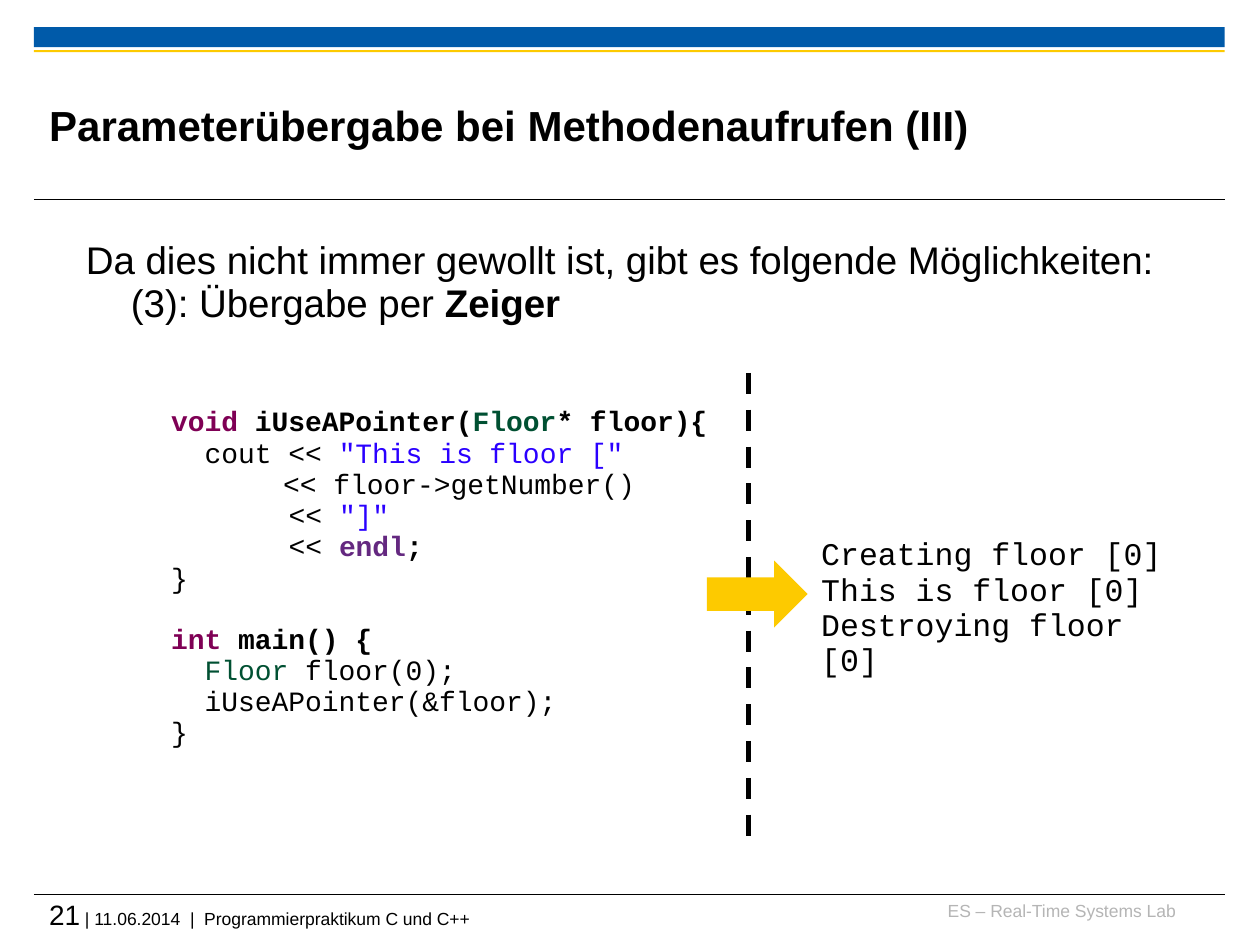
import pptx
import pptx.dml.color
import pptx.enum.dml
import pptx.enum.shapes
import pptx.enum.text
import pptx.oxml.ns
import pptx.util
from lxml import etree

Pt = pptx.util.Pt
RGB = pptx.dml.color.RGBColor
ALIGN = pptx.enum.text.PP_ALIGN
SHAPES = pptx.enum.shapes.MSO_SHAPE

BLACK = RGB(0x00, 0x00, 0x00)
BLUE = RGB(0x00, 0x5A, 0xA9)
YELLOW = RGB(0xFD, 0xCA, 0x00)
GREY = RGB(0xB5, 0xB5, 0xB5)
KEYWORD = RGB(0x7F, 0x00, 0x55)
TYPE = RGB(0x00, 0x50, 0x32)
STRING = RGB(0x2A, 0x00, 0xFF)
CONSTANT = RGB(0x64, 0x28, 0x80)

EDGE, RULE_WIDTH = 19.4, 680.4
CODE_SIZE = 16
CHAR = 0.6 * CODE_SIZE
BLANK_LINE = 16.9


def run(text, **style):
    return text, style


def line(*runs, **style):
    return runs, style


def write(frame, lines, font="Arial", size=18, color=BLACK, bold=False,
          spacing=None, inset=None):
    """Fill a text frame; runs and lines may override the common format."""
    frame.word_wrap = True
    if inset is not None:
        frame.margin_left = frame.margin_right = Pt(inset)
        frame.margin_top = frame.margin_bottom = Pt(inset)
    for number, (runs, layout) in enumerate(lines):
        paragraph = frame.paragraphs[0] if number == 0 else frame.add_paragraph()
        paragraph.alignment = layout.get("align", ALIGN.LEFT)
        paragraph.line_spacing = spacing
        if "before" in layout:
            paragraph.space_before = Pt(layout["before"])
        if "indent" in layout:
            properties = paragraph._p.get_or_add_pPr()
            properties.set("marL", str(Pt(layout["indent"])))
            properties.set("indent", "0")
        for text, style in runs:
            piece = paragraph.add_run()
            piece.text = text
            piece.font.name = font
            piece.font.size = Pt(style.get("size", size))
            piece.font.bold = style.get("bold", bold)
            piece.font.color.rgb = style.get("color", color)


class SlideBuilder:
    def __init__(self, slide):
        self.slide = slide
        self.shapes = slide.shapes

    def title(self, text, left, top, width, height):
        heading = self.shapes.title
        heading.left, heading.top = Pt(left), Pt(top)
        heading.width, heading.height = Pt(width), Pt(height)
        frame = heading.text_frame
        frame.vertical_anchor = pptx.enum.text.MSO_ANCHOR.MIDDLE
        frame.auto_size = pptx.enum.text.MSO_AUTO_SIZE.NONE
        write(frame, [line(run(text))], size=24, bold=True, inset=0)

    def text(self, lines, left, top, width, height, **style):
        box = self.shapes.add_textbox(Pt(left), Pt(top), Pt(width), Pt(height))
        write(box.text_frame, lines, **style)

    def block(self, kind, left, top, width, height, fill):
        block = self.shapes.add_shape(
            kind, Pt(left), Pt(top), Pt(width), Pt(height))
        block.shadow.inherit = False
        block.fill.solid()
        block.fill.fore_color.rgb = fill
        block.line.fill.background()

    def rule(self, x1, y1, x2, y2, width=0.6, dash=None):
        rule = self.shapes.add_connector(
            pptx.enum.shapes.MSO_CONNECTOR.STRAIGHT,
            Pt(x1), Pt(y1), Pt(x2), Pt(y2))
        rule.line.color.rgb = BLACK
        rule.line.width = Pt(width)
        if dash is not None:
            rule.line.dash_style = dash
        etree.SubElement(rule._element.spPr, pptx.oxml.ns.qn("a:effectLst"))


def main():
    deck = pptx.Presentation()
    deck.slide_width, deck.slide_height = Pt(720), Pt(540)
    builder = SlideBuilder(deck.slides.add_slide(deck.slide_layouts[5]))

    for top, height, fill in ((15.6, 11.4, BLUE), (28.7, 1.2, YELLOW)):
        builder.block(SHAPES.RECTANGLE, EDGE, top, RULE_WIDTH, height, fill)
    for y in (114.2, 511):
        builder.rule(EDGE, y, EDGE + RULE_WIDTH, y)

    builder.text([line(run("ES – Real-Time Systems Lab"), align=ALIGN.RIGHT)],
                 530, 514, 141.8, 18, size=10, color=GREY, inset=0)
    builder.text([line(run("21", size=16),
                       run(" | 11.06.2014  |  Programmierpraktikum C und C++"))],
                 28.1, 512.8, 671.8, 23.8, size=10, inset=0)

    builder.title("Parameterübergabe bei Methodenaufrufen (III)",
                  28.1, 38.2, 541.4, 66.2)
    builder.text([
        line(run("Da dies nicht immer gewollt ist, gibt es folgende Möglichkeiten:"),
             align=ALIGN.CENTER),
        line(run("(3): Übergabe per "), run("Zeiger", bold=True), indent=70.6),
    ], -2.9, 133.9, 714.2, 56.9, size=22, spacing=0.93)

    body, stream = 2 * CHAR, 7 * CHAR
    builder.text([
        line(run("void ", color=KEYWORD, bold=True),
             run("iUseAPointer(", bold=True),
             run("Floor", color=TYPE, bold=True),
             run("* floor){", bold=True)),
        line(run("cout << "), run('"This is floor ["', color=STRING), indent=body),
        line(run("<< floor->getNumber()"), indent=64),
        line(run("<< "), run('"]"', color=STRING), indent=stream),
        line(run("<< "), run("endl", color=CONSTANT, bold=True),
             run(";", bold=True), indent=stream),
        line(run("}")),
        line(run("int ", color=KEYWORD, bold=True), run("main() {", bold=True),
             before=BLANK_LINE),
        line(run("Floor ", color=TYPE), run("floor(0);"), indent=body),
        line(run("iUseAPointer(&floor);"), indent=body),
        line(run("}")),
    ], 90.7, 229, 427.7, 206, font="Courier New", size=CODE_SIZE, spacing=0.93)

    builder.rule(427.7, 213.1, 427.7, 479.5, width=3,
                 dash=pptx.enum.dml.MSO_LINE.DASH)
    builder.block(SHAPES.RIGHT_ARROW, 403.9, 320.4, 57.6, 38.2, YELLOW)
    builder.text([line(run(output)) for output in (
        "Creating floor [0]", "This is floor [0]", "Destroying floor [0]")],
        462.2, 303.8, 219.6, 68.4, font="Courier New", spacing=0.93)

    deck.save("out.pptx")


if __name__ == "__main__":
    main()
